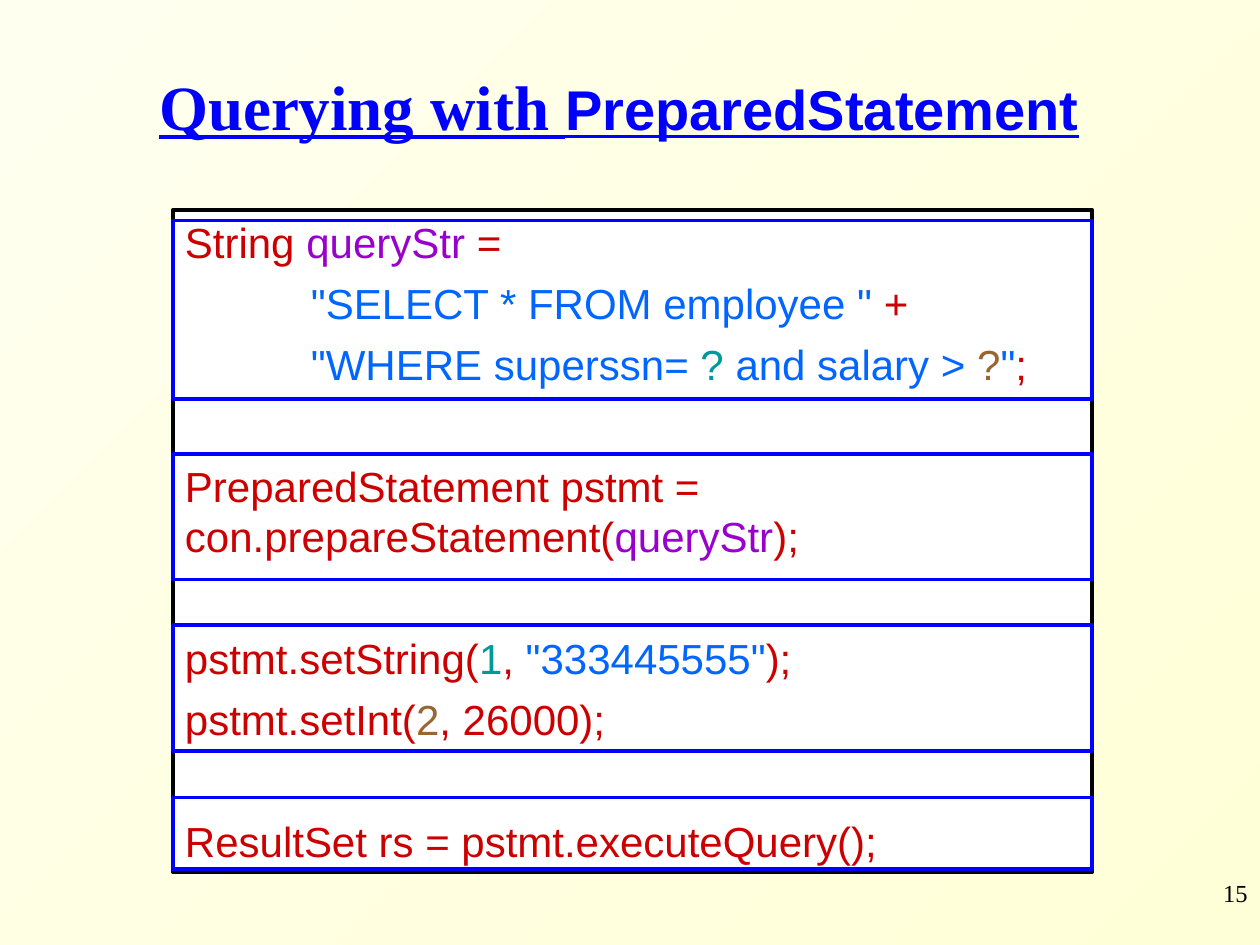
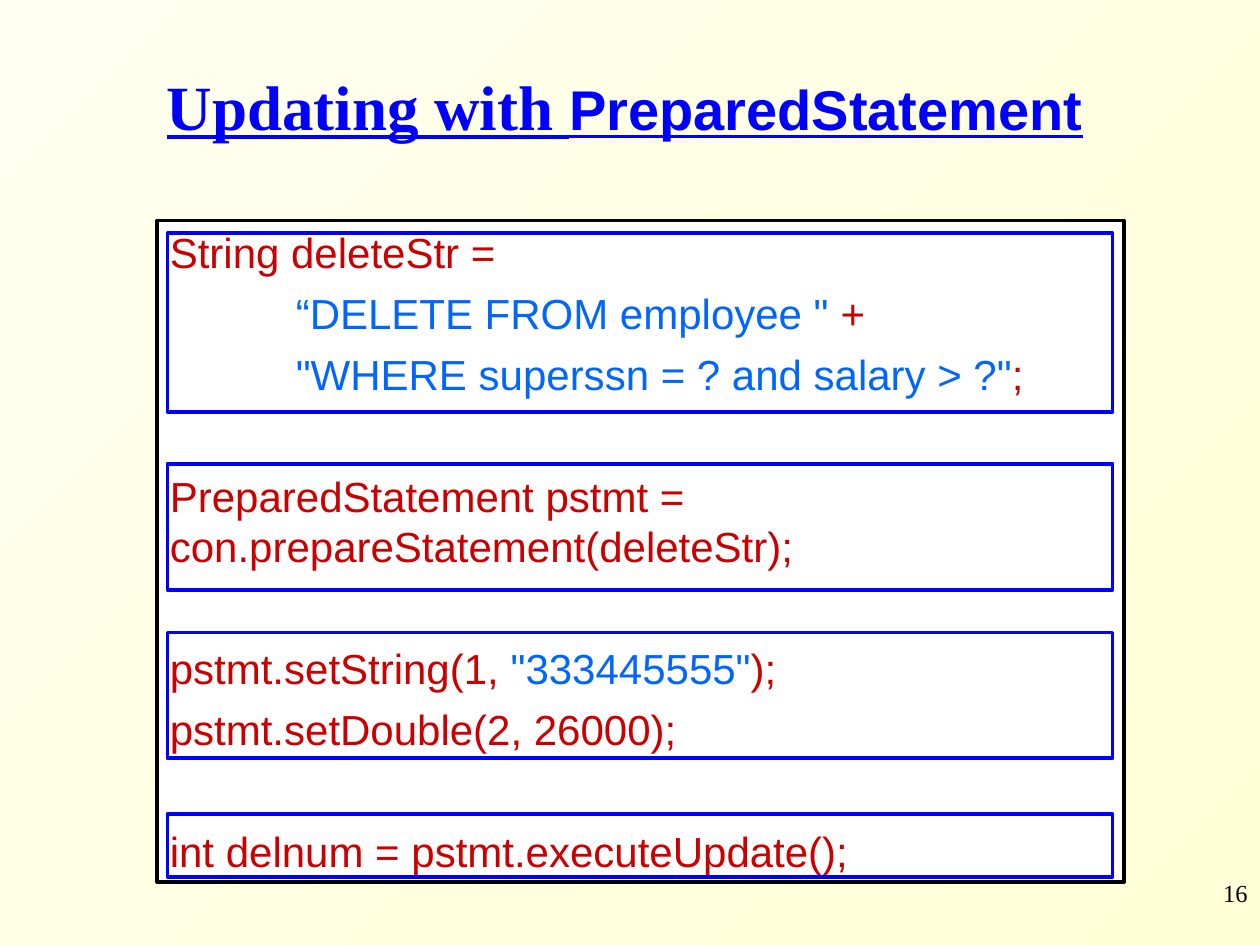
"""Build two slides that show database code with PreparedStatement."""
from dataclasses import dataclass

from pptx import Presentation
from pptx.dml.color import RGBColor
from pptx.enum.shapes import MSO_SHAPE
from pptx.enum.text import MSO_ANCHOR, MSO_AUTO_SIZE, PP_ALIGN
from pptx.util import Inches, Pt


@dataclass(frozen=True)
class Theme:
    paper: tuple = ("FFFFEF", "FFFFD7")
    white: str = "FFFFFF"
    black: str = "000000"
    blue: str = "0000FF"
    code: str = "CC0000"
    variable: str = "9900CC"
    string: str = "0066FF"
    first: str = "009999"
    second: str = "996633"
    serif: str = "Times New Roman"
    sans: str = "Arial"
    title_pt: int = 36
    class_pt: int = 32
    code_pt: int = 24
    number_pt: int = 14
    line_pt: float = 2.25
    leading: float = 1.2
    gap_pt: int = 6


T = Theme()
TITLE_TOP, TITLE_H = 0.42, 0.92
NUMBER_BOX = (7.92, 6.92, 2.08, 0.5)
PANEL_H = 5.25
INDENT = 1

SLIDES = [
    {
        "number": 15,
        "title": "Querying with ",
        "title_x": (0.5, 8.83),
        "panel": (1.37, 1.67, 7.3),
        "frame_x": (1.37, 7.3),
        "blocks": [
            (1.75, 1.42, [
                (0, [("code", "String "), ("variable", "queryStr "), ("code", "=")]),
                (1, [("string", '"SELECT * FROM employee " '), ("code", "+")]),
                (1, [("string", '"WHERE superssn= '), ("first", "? "),
                     ("string", "and salary > "), ("second", "?"),
                     ("string", '"'), ("code", ";")]),
            ]),
            (3.6, 1, [
                (0, [("code", "PreparedStatement pstmt = con.prepareStatement("),
                     ("variable", "queryStr"), ("code", ");")]),
            ]),
            (4.96, 1, [
                (0, [("code", "pstmt.setString("), ("first", "1"), ("code", ", "),
                     ("string", '"333445555"'), ("code", ");")]),
                (0, [("code", "pstmt.setInt("), ("second", "2"), ("code", ", 26000);")]),
            ]),
            (6.33, 0.57, [
                (0, [("code", "ResultSet rs = pstmt.executeQuery();")]),
            ]),
        ],
    },
    {
        "number": 16,
        "title": "Updating with ",
        "title_x": (1, 7.92),
        "panel": (1.25, 1.75, 7.67),
        "frame_x": (1.33, 7.5),
        "blocks": [
            (1.85, 1.42, [
                (0, [("code", "String deleteStr =")]),
                (1, [("string", '“DELETE FROM employee " '), ("code", "+")]),
                (1, [("string", '"WHERE superssn = ? and salary > ?"'), ("code", ";")]),
            ]),
            (3.68, 1, [
                (0, [("code", "PreparedStatement pstmt = con.prepareStatement(deleteStr);")]),
            ]),
            (5.02, 1, [
                (0, [("code", "pstmt.setString(1, "), ("string", '"333445555"'),
                     ("code", ");")]),
                (0, [("code", "pstmt.setDouble(2, 26000);")]),
            ]),
            (6.46, 0.5, [
                (0, [("code", "int delnum = pstmt.executeUpdate();")]),
            ]),
        ],
    },
]


def rgb(color):
    return RGBColor.from_string(color)


def set_attrs(obj, **values):
    for name, value in values.items():
        setattr(obj, name, value)


def add_run(p, text, font, size, color, **style):
    r = p.add_run()
    r.text = text
    set_attrs(r.font, name=font, size=Pt(size), **style)
    r.font.color.rgb = rgb(color)


def add_box(s, box, line, fill=None):
    sp = s.shapes.add_shape(MSO_SHAPE.RECTANGLE, *map(Inches, box))
    sp.shadow.inherit = False
    if fill:
        sp.fill.solid()
        sp.fill.fore_color.rgb = rgb(fill)
    else:
        sp.fill.background()
    sp.line.color.rgb = rgb(line)
    sp.line.width = Pt(T.line_pt)
    return sp


def add_title(s, text, left, width):
    sp = s.shapes.title
    set_attrs(sp, left=Inches(left), top=Inches(TITLE_TOP),
              width=Inches(width), height=Inches(TITLE_H))
    set_attrs(sp.text_frame, vertical_anchor=MSO_ANCHOR.MIDDLE,
              auto_size=MSO_AUTO_SIZE.NONE, word_wrap=True)
    p = sp.text_frame.paragraphs[0]
    set_attrs(p, alignment=PP_ALIGN.CENTER, line_spacing=0.85)
    style = {"bold": True, "underline": True}
    add_run(p, text, T.serif, T.title_pt, T.blue, **style)
    add_run(p, "PreparedStatement", T.sans, T.class_pt, T.blue, **style)


def add_number(s, number):
    tf = s.shapes.add_textbox(*map(Inches, NUMBER_BOX)).text_frame
    tf.word_wrap = True
    p = tf.paragraphs[0]
    p.alignment = PP_ALIGN.RIGHT
    add_run(p, str(number), T.serif, T.number_pt, T.black)


def add_code(s, panel, blocks):
    tf = add_box(s, (*panel, PANEL_H), T.black, T.white).text_frame
    set_attrs(tf, vertical_anchor=MSO_ANCHOR.TOP, word_wrap=True,
              auto_size=MSO_AUTO_SIZE.NONE)
    line_h = T.code_pt * T.leading
    p = None
    for _, _, lines in blocks:
        for i, (level, runs) in enumerate(lines):
            new_block = p is not None and i == 0
            p = tf.add_paragraph() if p is not None else tf.paragraphs[0]
            before = 2 * T.gap_pt + line_h if new_block else T.gap_pt
            set_attrs(p, alignment=PP_ALIGN.LEFT, line_spacing=Pt(line_h),
                      space_before=Pt(before))
            p._p.get_or_add_pPr().set("marL", str(Inches(level * INDENT)))
            for role, text in runs:
                add_run(p, text, T.sans, T.code_pt, getattr(T, role))


def add_frames(s, left, width, blocks):
    for top, height, _ in blocks:
        add_box(s, (left, top, width, height), T.blue)


def main():
    prs = Presentation()
    set_attrs(prs, slide_width=Inches(10), slide_height=Inches(7.5))
    fill = prs.slide_master.background.fill
    fill.gradient()
    fill.gradient_angle = 315
    for stop, color in zip(fill.gradient_stops, T.paper):
        stop.color.rgb = rgb(color)
    for page in SLIDES:
        s = prs.slides.add_slide(prs.slide_layouts.get_by_name("Title Only"))
        add_number(s, page["number"])
        add_title(s, page["title"], *page["title_x"])
        add_code(s, page["panel"], page["blocks"])
        add_frames(s, *page["frame_x"], page["blocks"])
    prs.save("out.pptx")


if __name__ == "__main__":
    main()
